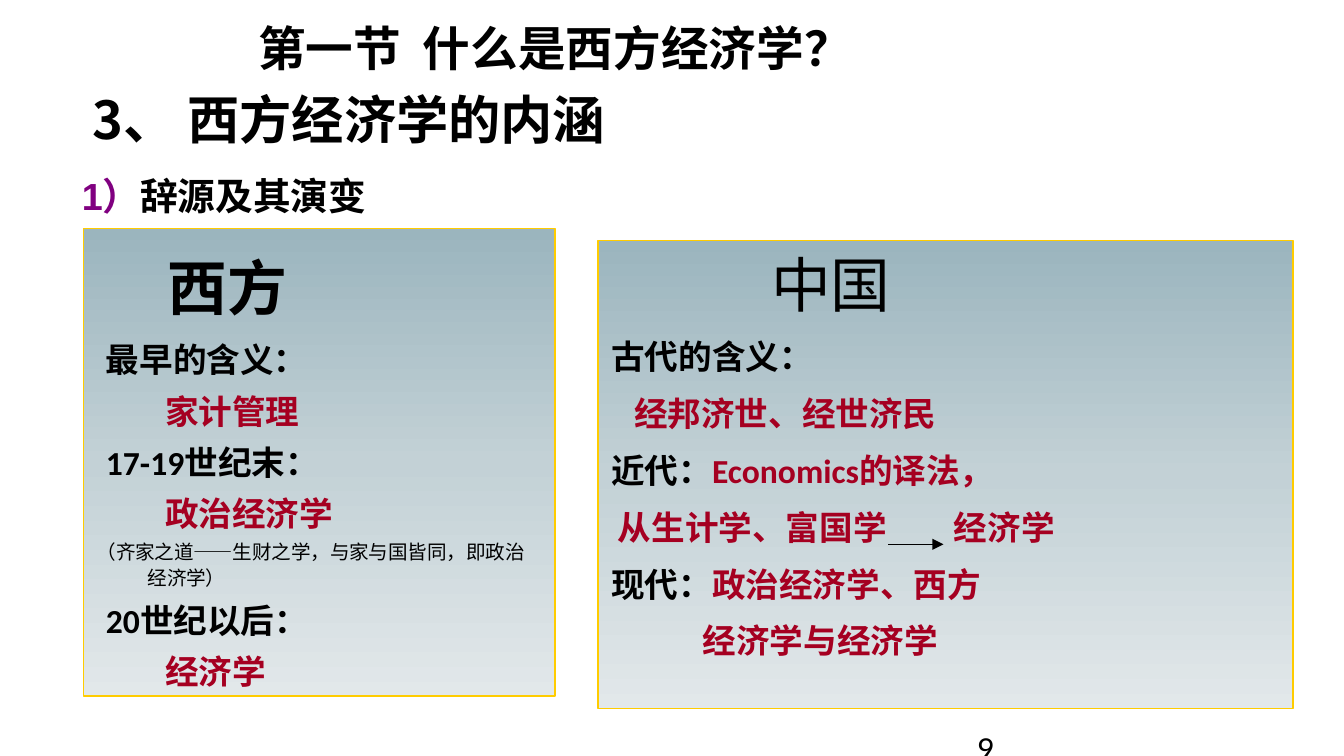
from copy import deepcopy
from lxml.etree import SubElement
from pptx import Presentation
from pptx.dml.color import RGBColor
from pptx.enum.shapes import MSO_CONNECTOR as CON, MSO_SHAPE as SHAPE
from pptx.enum.text import MSO_ANCHOR as ANCHOR, PP_ALIGN as ALIGN
from pptx.oxml.ns import qn
from pptx.util import Inches, Pt

COLORS = {"ink": "000000", "red": "A50021", "purple": "800080", "gold": "FFCC00",
          "top": "9BB5BE", "mid": "C3D1D6", "low": "E2E8EA"}
COLUMNS, ROWS = 100, 56.25
UNIT = Inches(0.1)
SC, JP = "Noto Sans CJK SC", "Noto Sans CJK JP"


def grid(*cells):
    """Turn grid columns and rows into lengths."""
    return [round(c * UNIT) for c in cells]


def rgb(name):
    """Look up a colour by its name."""
    return RGBColor.from_string(COLORS[name])


def add_run(p, text, size, color="ink", bold=True, latin="Calibri", ea=JP):
    """Add a run with its Latin and East Asian fonts."""
    r = p.add_run()
    r.text = text
    for key, value in {"size": Pt(size), "bold": bold, "name": latin}.items():
        setattr(r.font, key, value)
    r.font.color.rgb = rgb(color)
    SubElement(r.font._element, qn("a:ea")).set("typeface", ea)


def set_frame(sp, anchor, left=1, top=0.5, bottom=0.5):
    """Set wrapping, anchor and insets, and return the first paragraph."""
    tf = sp.text_frame
    left, top, side, bottom = grid(left, top, 1, bottom)
    frame = {"word_wrap": True, "vertical_anchor": anchor, "margin_left": left,
             "margin_top": top, "margin_right": side, "margin_bottom": bottom}
    for key, value in frame.items():
        setattr(tf, key, value)
    p = tf.paragraphs[0]
    p.alignment = ALIGN.LEFT
    return p


def add_label(s, box, runs, anchor=ANCHOR.TOP, **insets):
    """Place a one-line text in the box."""
    p = set_frame(s.shapes.add_textbox(*grid(*box)), anchor, **insets)
    for run in runs:
        add_run(p, **run)


def set_heading(sp, box, text):
    """Move the title placeholder to the box and format it."""
    sp.left, sp.top, sp.width, sp.height = grid(*box)
    add_run(set_frame(sp, ANCHOR.TOP, top=0.4, bottom=0), text, 28, latin=SC, ea=SC)


def fill_gradient(sp):
    """Fill a shape with the three-stop vertical gradient."""
    sp.fill.gradient()
    sp.fill.gradient_angle = 270
    first = sp.fill._xPr.find(".//" + qn("a:gs"))
    first.addnext(deepcopy(first))
    for stop, name, pos in zip(sp.fill.gradient_stops, ("top", "mid", "low"), (0, 0.5, 1)):
        stop.color.rgb = rgb(name)
        stop.position = pos


def add_panel(s, box, lines, pitch):
    """Draw a gradient panel with one paragraph per line."""
    sp = s.shapes.add_shape(SHAPE.RECTANGLE, *grid(*box))
    sp.shadow.inherit = False
    fill_gradient(sp)
    sp.line.color.rgb = rgb("gold")
    sp.line.width = Pt(0.75)
    p = set_frame(sp, ANCHOR.TOP)
    for i, line in enumerate(lines):
        p = p if i == 0 else sp.text_frame.add_paragraph()
        p.alignment = ALIGN.LEFT
        p.line_spacing = Pt(line.get("pitch", pitch))
        p.space_before = Pt(line.get("before", 0))
        margin, hang = grid(line.get("margin", 0), line.get("hang", 0))
        pPr = p._p.get_or_add_pPr()
        pPr.set("marL", str(margin))
        pPr.set("indent", str(-hang))
        if "tab" in line:
            tabs = SubElement(pPr, qn("a:tabLst"))
            SubElement(tabs, qn("a:tab"), pos=str(grid(line["tab"])[0]), algn="l")
        for text, color in line["runs"]:
            add_run(p, text, line.get("size", 18), color, line.get("bold", True))


def add_arrow(s, box, x, y, length):
    """Draw a horizontal arrow at an offset inside the box."""
    x, y = box[0] + x, box[1] + y
    cx = s.shapes.add_connector(CON.STRAIGHT, *grid(x, y, x + length, y))
    cx.line.color.rgb = rgb("ink")
    cx.line.width = Pt(0.75)
    SubElement(cx.line._get_or_add_ln(), qn("a:tailEnd"), type="triangle")
    SubElement(cx._element.spPr, qn("a:effectLst"))


def add_west(s, box):
    """Fill the panel on the Western meaning."""
    add_panel(s, box, [
        {"runs": [("西方", "ink")], "size": 32, "margin": 5.3, "pitch": 47},
        {"runs": [("最早的含义：", "ink")], "margin": 0.7, "before": 3},
        {"runs": [("家计管理", "red")], "margin": 5.1},
        {"runs": [("17-19世纪末：", "ink")], "margin": 0.7},
        {"runs": [("政治经济学", "red")], "margin": 5.1},
        {"runs": [("（齐家之道——生财之学，与家与国皆同，即政治经济学）", "ink")],
         "size": 10.5, "bold": False, "margin": 3.8, "hang": 3.8, "pitch": 14, "before": 2},
        {"runs": [("20世纪以后：", "ink")], "margin": 0.7},
        {"runs": [("经济学", "red")], "margin": 5.1},
    ], 27.4)


def add_china(s, box):
    """Fill the panel on the Chinese meaning."""
    add_panel(s, box, [
        {"runs": [("中国", "ink")], "size": 32, "bold": False, "margin": 11.9, "pitch": 38.5},
        {"runs": [("古代的含义：", "ink")]},
        {"runs": [("经邦济世、经世济民", "red")], "margin": 1.7},
        {"runs": [("近代：", "ink"), ("Economics的译法，", "red")]},
        {"runs": [("从生计学、富国学\t经济学", "red")], "margin": 0.5, "tab": 23.5},
        {"runs": [("现代：", "ink"), ("政治经济学、西方", "red")]},
        {"runs": [("经济学与经济学", "red")], "margin": 6.8},
    ], 30.5)
    add_arrow(s, box, 21.6, 22.6, 4.1)


def main():
    """Build the slide and save it."""
    prs = Presentation()
    prs.slide_width, prs.slide_height = grid(COLUMNS, ROWS)
    s = prs.slides.add_slide(prs.slide_layouts[5])
    set_heading(s.shapes.title, (5.9, 6.1, 60.2, 4.7), "3、 西方经济学的内涵")
    add_west(s, (6.2, 17, 35.1, 34.8))
    add_china(s, (44.5, 17.9, 51.7, 34.8))
    add_label(s, (71.7, 53.6, 23.3, 2), [{"text": "9", "size": 18, "bold": False}])
    add_label(s, (17.7, 0, 68, 6.4), [
        {"text": "第一节  什么是西方经济学？", "size": 25.5, "latin": SC, "ea": SC},
    ], left=1.5, top=1.4, bottom=0)
    add_label(s, (5.1, 12.4, 60.2, 4.6), [
        {"text": "1）", "size": 20.2, "color": "purple", "latin": "Arial"},
        {"text": "辞源及其演变", "size": 20.2, "latin": "Arial"},
    ], ANCHOR.BOTTOM, bottom=0.8)
    prs.save("out.pptx")


if __name__ == "__main__":
    main()
